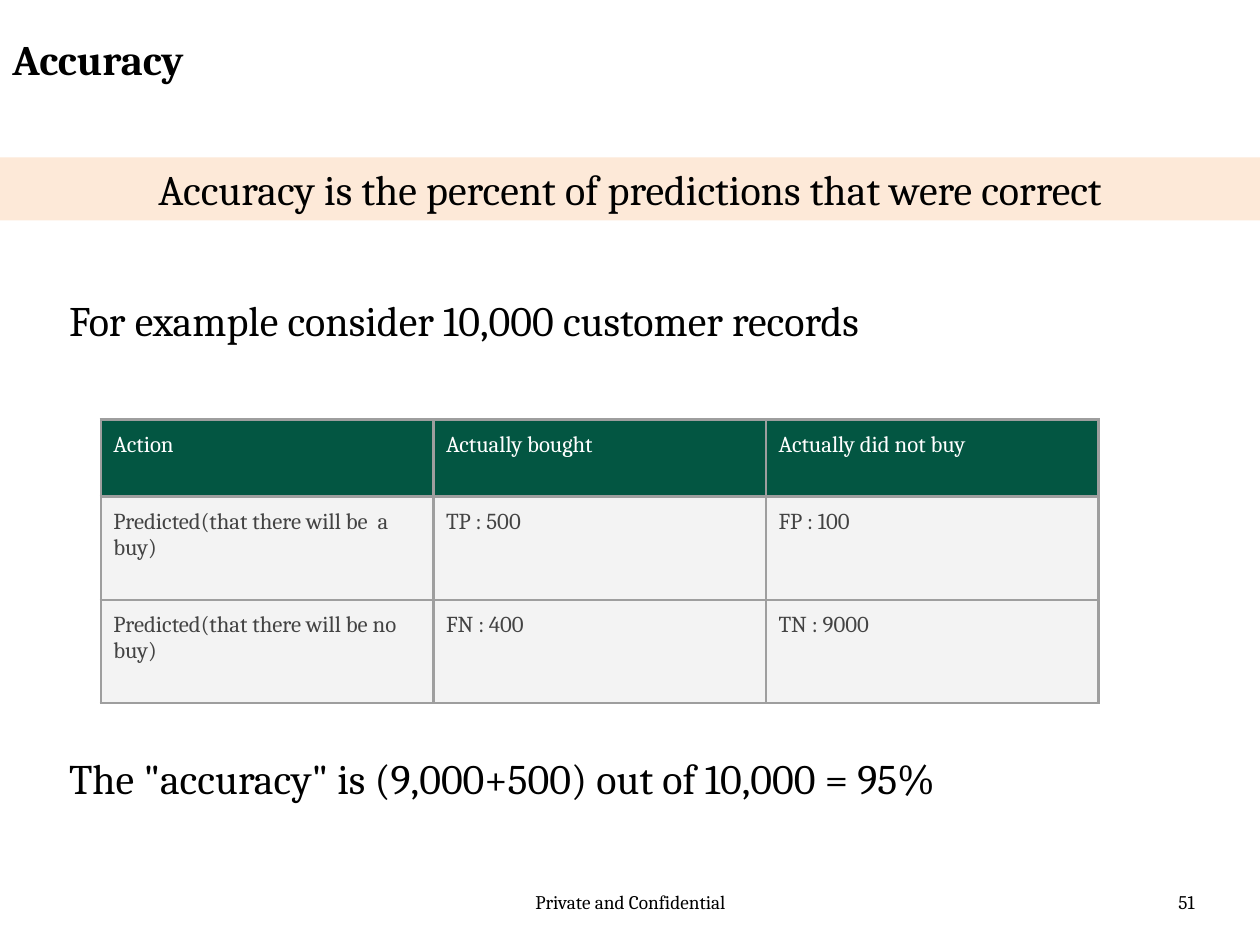
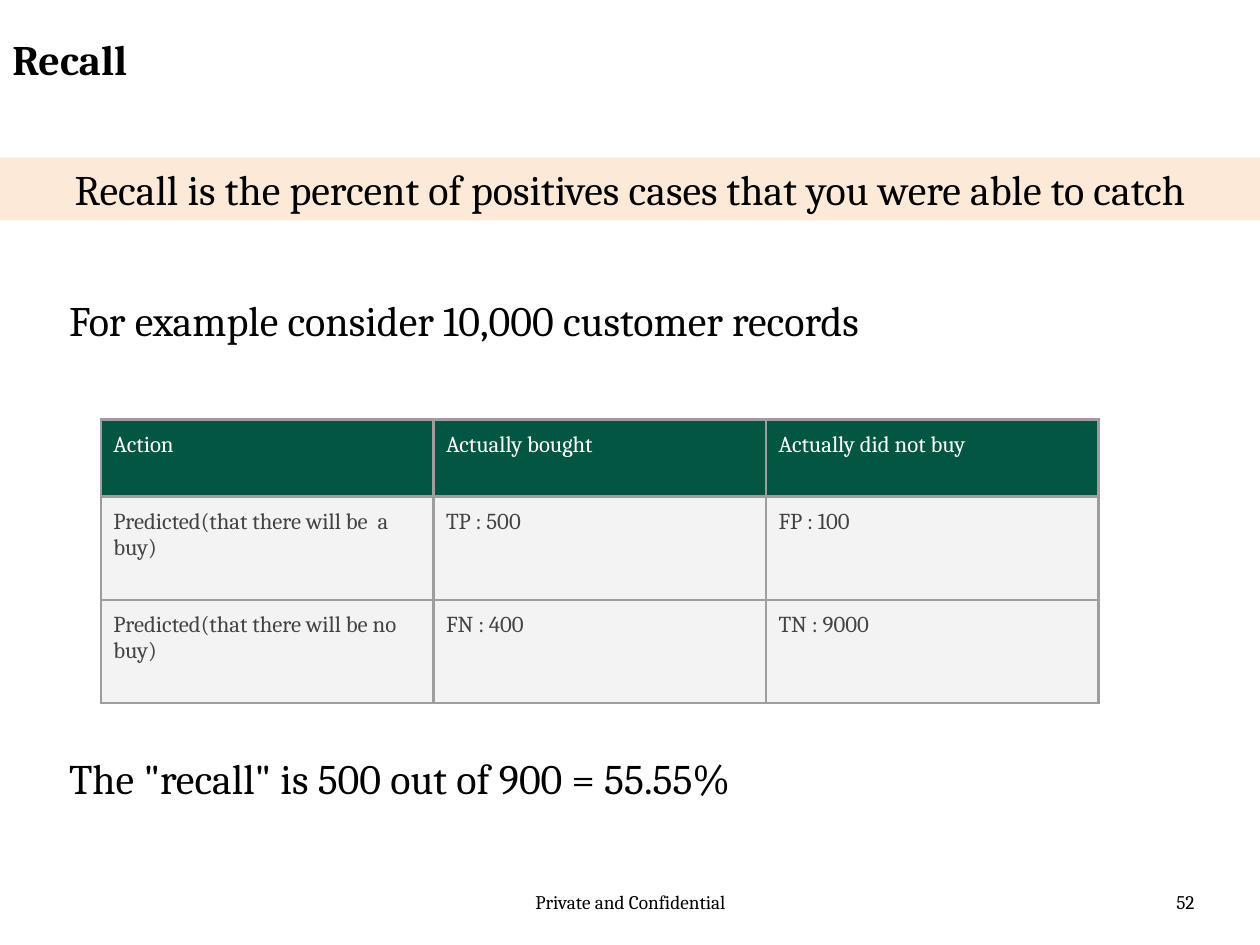
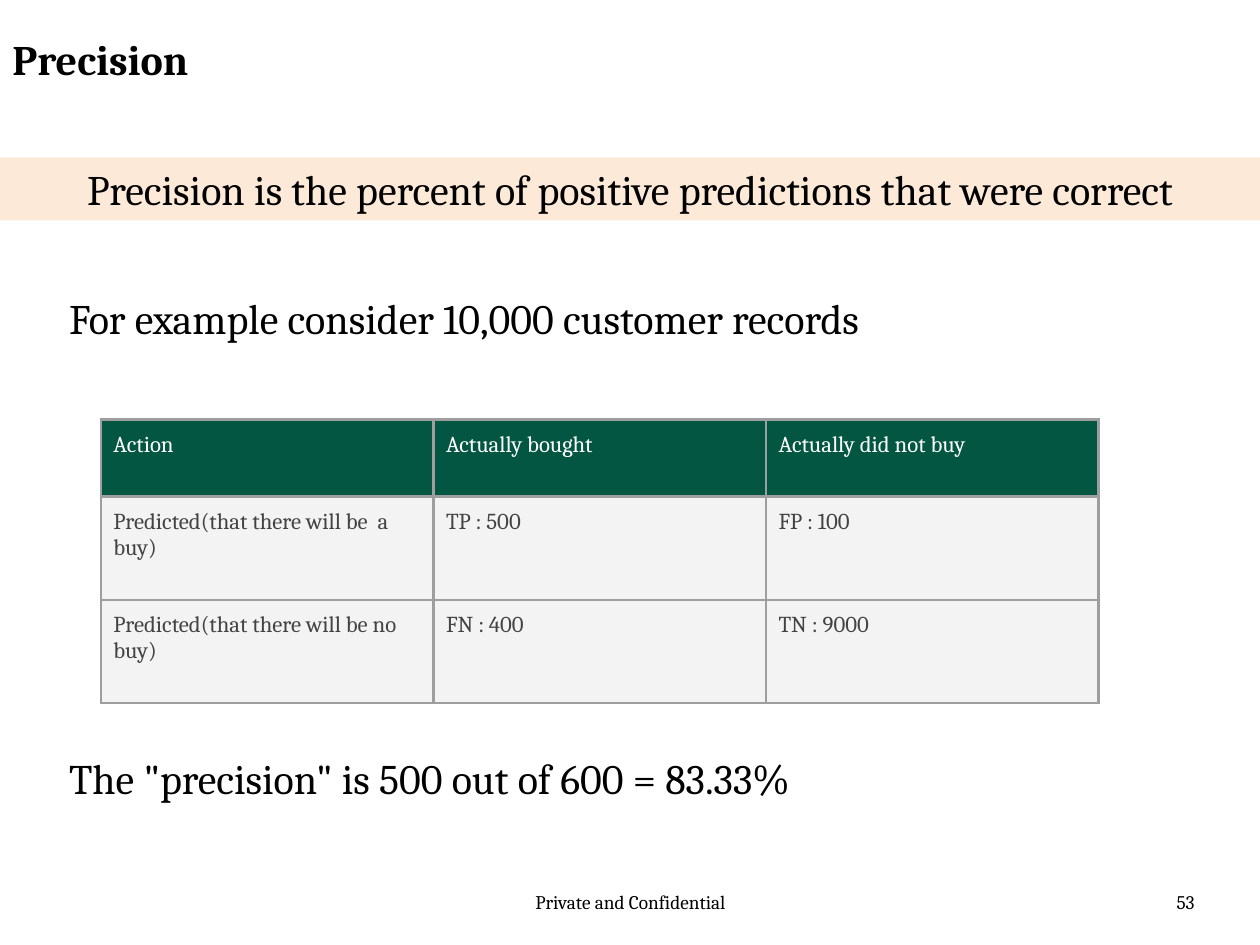
from lxml.etree import SubElement
from pptx import Presentation
from pptx.dml.color import RGBColor as RGB
from pptx.enum.shapes import MSO_SHAPE as SHAPE
from pptx.enum.text import MSO_ANCHOR as ANCHOR, PP_ALIGN as ALIGN
from pptx.oxml.ns import qn
from pptx.util import Inches, Pt

# Content
METRICS = [
    {"title": "Accuracy",
     "definition": "Accuracy is the percent of predictions that were correct",
     "result": 'The "accuracy" is (9,000+500) out of 10,000 = 95%',
     "example_top": 2.29},
    {"title": "Recall",
     "definition": "Recall is the percent of positives cases that you were able to catch",
     "result": 'The "recall" is 500 out of 900 = 55.55%',
     "example_top": 2.29},
    {"title": "Precision",
     "definition": "Precision is the percent of positive predictions that were correct",
     "result": 'The "precision" is 500 out of 600 = 83.33%',
     "example_top": 2.27},
]
EXAMPLE = "For example consider 10,000 customer records"
CONFUSION = [
    ("Action", "Actually bought", "Actually did not buy"),
    ("Predicted(that there will be  a buy)", "TP : 500", "FP : 100"),
    ("Predicted(that there will be no buy)", "FN : 400", "TN : 9000"),
]
FOOTER = "Private and Confidential"
FIRST_NUMBER = 51

# Shared style
COLORS = {"text": "000000", "band": "FDE9D8", "header": "035642",
          "header_text": "FFFFFF", "body": "F3F3F3", "body_text": "434343",
          "border": "9E9E9E"}
FONT = "Cambria"
WIDTH, HEIGHT = 10, 7.5
MARGIN = 0.45
FOOTER_TOP, FOOTER_HEIGHT = 7.02, 0.4
TABLE_LEFT, TABLE_TOP, COLUMN_WIDTH = 0.8, 3.33, 2.64
ROW_HEIGHTS = (0.61, 0.82, 0.82)
BORDER_WIDTH = 1.5


def color(name):
    return RGB.from_string(COLORS[name])


def write(frame, text, size=24, ink="text", bold=False, align=ALIGN.LEFT):
    frame.word_wrap = True
    paragraph = frame.paragraphs[0]
    paragraph.alignment = align
    run = paragraph.add_run()
    run.text = text
    font = run.font
    font.name, font.size, font.bold = FONT, Pt(size), bold
    font.color.rgb = color(ink)


def add_label(slide, text, left, top, width, height, **style):
    box = slide.shapes.add_textbox(*map(Inches, (left, top, width, height)))
    write(box.text_frame, text, **style)


def add_band(slide, definition):
    band = slide.shapes.add_shape(
        SHAPE.RECTANGLE, *map(Inches, (0, 1.25, WIDTH, 0.5)))
    band.shadow.inherit = False
    band.fill.solid()
    band.fill.fore_color.rgb = color("band")
    band.line.fill.background()
    band.text_frame.vertical_anchor = ANCHOR.TOP
    write(band.text_frame, definition, align=ALIGN.CENTER)


def add_borders(cell):
    properties = cell._tc.get_or_add_tcPr()
    for place, side in enumerate(("lnL", "lnR", "lnT", "lnB")):
        line = SubElement(properties, qn(f"a:{side}"), w=str(Pt(BORDER_WIDTH)))
        fill = SubElement(line, qn("a:solidFill"))
        SubElement(fill, qn("a:srgbClr"), val=COLORS["border"])
        properties.insert(place, line)


def add_confusion_table(slide):
    columns = len(CONFUSION[0])
    table = slide.shapes.add_table(
        len(CONFUSION), columns, Inches(TABLE_LEFT), Inches(TABLE_TOP),
        Inches(COLUMN_WIDTH * columns), Inches(sum(ROW_HEIGHTS))).table
    for column in table.columns:
        column.width = Inches(COLUMN_WIDTH)
    for r, (entries, height) in enumerate(zip(CONFUSION, ROW_HEIGHTS)):
        table.rows[r].height = Inches(height)
        part = "body" if r else "header"
        for c, entry in enumerate(entries):
            cell = table.cell(r, c)
            cell.margin_left = cell.margin_right = Inches(0.1)
            cell.margin_top = cell.margin_bottom = Inches(0.1)
            cell.fill.solid()
            cell.fill.fore_color.rgb = color(part)
            add_borders(cell)
            write(cell.text_frame, entry, size=13, ink=f"{part}_text")


def add_footer(slide, number):
    add_label(slide, FOOTER, 3.42, FOOTER_TOP, 3.17, FOOTER_HEIGHT,
              size=11, align=ALIGN.CENTER)
    add_label(slide, str(number), 7.25, FOOTER_TOP, 2.33, FOOTER_HEIGHT,
              size=11, align=ALIGN.RIGHT)


def main():
    deck = Presentation()
    deck.slide_width, deck.slide_height = Inches(WIDTH), Inches(HEIGHT)
    blank = deck.slide_layouts[6]
    for number, metric in enumerate(METRICS, FIRST_NUMBER):
        slide = deck.slides.add_slide(blank)
        add_footer(slide, number)
        add_label(slide, metric["title"], 0, 0.22, 7.59, 0.62, bold=True)
        add_band(slide, metric["definition"])
        add_label(slide, EXAMPLE, MARGIN, metric["example_top"], 6.95, 0.5)
        add_label(slide, metric["result"], MARGIN, 5.92, 7.71, 0.5)
        add_confusion_table(slide)
    deck.save("out.pptx")


if __name__ == "__main__":
    main()
